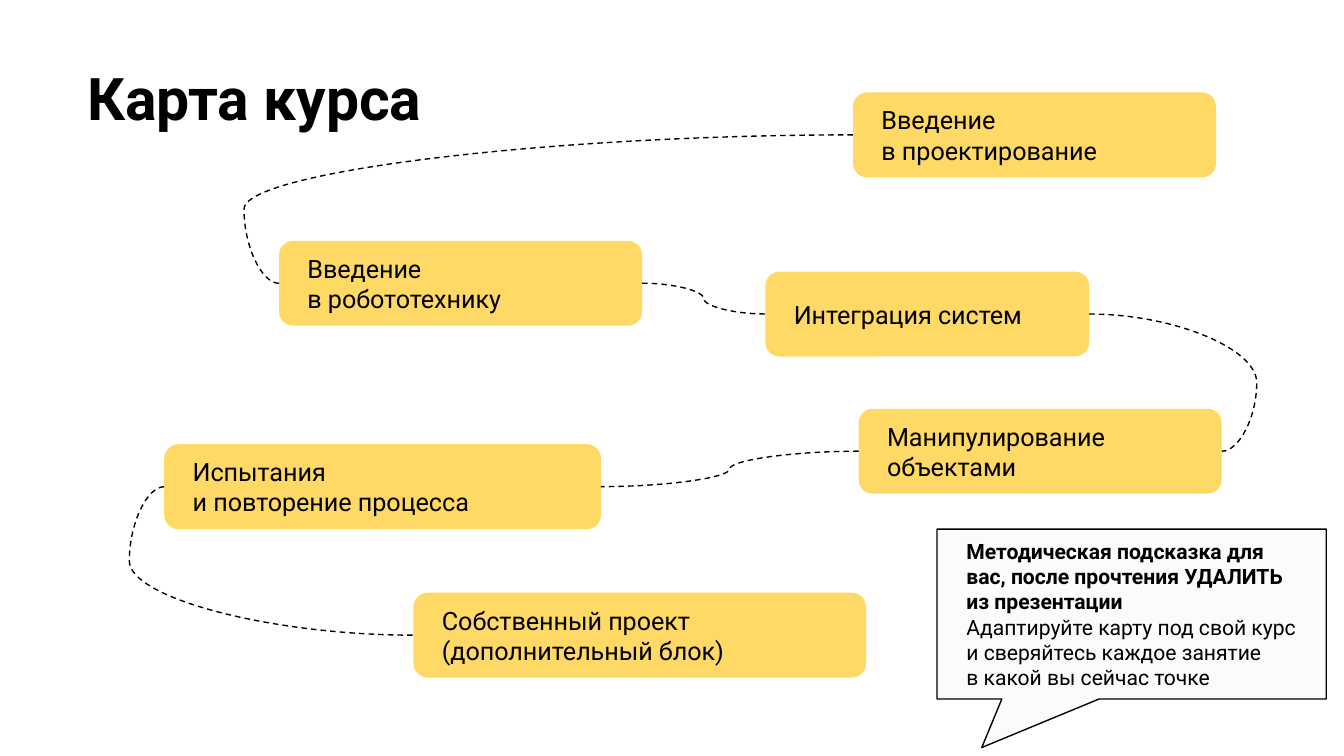
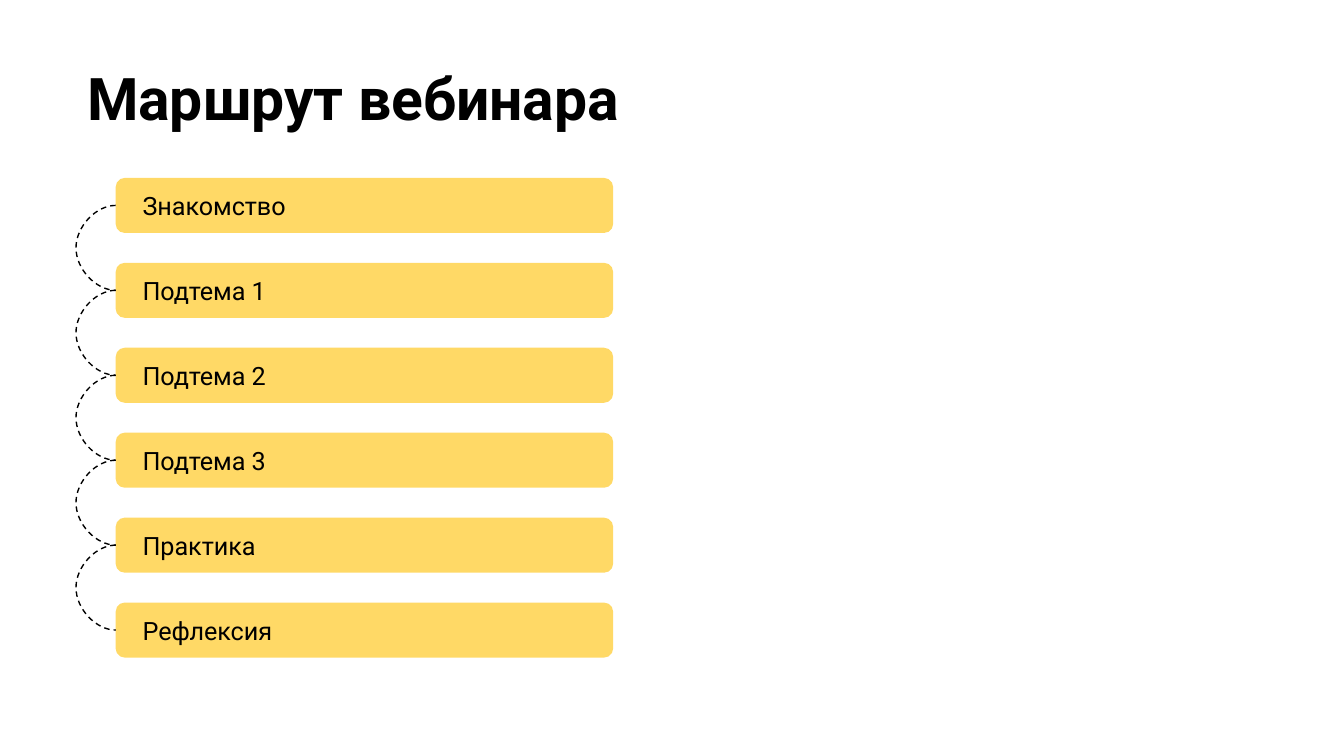
from dataclasses import dataclass

from lxml import etree
from pptx import Presentation
from pptx.dml.color import RGBColor
from pptx.enum.dml import MSO_LINE
from pptx.enum.shapes import MSO_CONNECTOR, MSO_SHAPE
from pptx.enum.text import MSO_ANCHOR, PP_ALIGN
from pptx.oxml.ns import qn
from pptx.util import Pt

ROUND = MSO_SHAPE.ROUNDED_RECTANGLE
CALLOUT = MSO_SHAPE.RECTANGULAR_CALLOUT
CURVE = MSO_CONNECTOR.CURVE
DASH = MSO_LINE.DASH
LEFT = PP_ALIGN.LEFT
TOP, MIDDLE = MSO_ANCHOR.TOP, MSO_ANCHOR.MIDDLE

FONT = "Roboto"
BLACK, YELLOW, PALE = "000000", "FFD966", "FBFBFE"
LINE = 0.75
LOOP = 18.75  # how far a loop swings out past a box
THIN = 0.05   # least width of a curve between aligned boxes


@dataclass
class Box:
    x: float
    y: float
    w: float
    h: float

    def port(self, side):
        return self.x + (self.w if side == "R" else 0), self.y + self.h / 2

    def pts(self):
        return Pt(self.x), Pt(self.y), Pt(self.w), Pt(self.h)


TITLE = Box(39.5, 26, 671, 86.5)


def color(code):
    return RGBColor.from_string(code)


def write(shape, lines, size, pad, anchor=MIDDLE, bold=0):
    """Set the lines; the first `bold` of them are bold."""
    frame = shape.text_frame
    frame.text = "\n".join(lines)
    frame.word_wrap = True
    frame.vertical_anchor = anchor
    frame.margin_left = frame.margin_right = Pt(pad[0])
    frame.margin_top = frame.margin_bottom = Pt(pad[1])
    for num, para in enumerate(frame.paragraphs):
        para.alignment = LEFT
        for run in para.runs:
            font = run.font
            font.name, font.size, font.bold = FONT, Pt(size), num < bold
            font.color.rgb = color(BLACK)


def panel(slide, kind, box, fill):
    shape = slide.shapes.add_shape(kind, *box.pts())
    shape.shadow.inherit = False
    shape.fill.solid()
    shape.fill.fore_color.rgb = color(fill)
    return shape


def card(slide, box, lines):
    shape = panel(slide, ROUND, box, YELLOW)
    shape.adjustments[0] = 0.167
    shape.line.fill.background()
    write(shape, lines, 13.5, (13, 7.2))


def link(slide, start, end, sides):
    """Dashed curve: loops outside for equal sides, else bends midway."""
    (x1, y1), (x2, y2) = start.port(sides[0]), end.port(sides[1])
    if x1 == x2:
        x2 += THIN
    bend = {"LL": min(x1, x2) - LOOP, "RR": max(x1, x2) + LOOP}.get(
        sides, (x1 + x2) / 2)
    curve = slide.shapes.add_connector(CURVE, Pt(x1), Pt(y1), Pt(x2), Pt(y2))
    curve.line.color.rgb = color(BLACK)
    curve.line.width = Pt(LINE)
    curve.line.dash_style = DASH
    props = curve._element.spPr
    ratio = (bend - x1) / (x2 - x1)
    props.prstGeom.rewrite_guides([("adj1", round(ratio * 100000))])
    etree.SubElement(props, qn("a:effectLst"))


def hint(slide, box):
    shape = panel(slide, CALLOUT, box, PALE)
    shape.adjustments[0] = -0.385
    shape.adjustments[1] = 0.786
    shape.line.color.rgb = color(BLACK)
    shape.line.width = Pt(LINE)
    write(shape, [
        "Методическая подсказка для вас, после прочтения УДАЛИТЬ из презентации",
        "Адаптируйте карту под свой курс и сверяйтесь каждое занятие",
        "в какой вы сейчас точке",
    ], 11.25, (15.75, 10), bold=1)


def start_slide(deck, text):
    slide = deck.slides.add_slide(deck.slide_layouts[5])
    title = slide.shapes.title
    title.left, title.top, title.width, title.height = TITLE.pts()
    write(title, [text], 31.5, (7.2, 7.2), TOP, bold=1)
    return slide


def course_map(deck):
    slide = start_slide(deck, "Карта курса")

    # Stages in course order: left, top, width, lines
    stages = [
        (457, 49.5, 194.5, ["Введение", "в проектирование"]),
        (149.5, 129, 194.5, ["Введение", "в робототехнику"]),
        (410, 145.5, 173.5, ["Интеграция систем"]),
        (460, 219, 194.5, ["Манипулирование объектами"]),
        (88, 238, 234, ["Испытания", "и повторение процесса"]),
        (221.5, 317.5, 242.5, ["Собственный проект (дополнительный блок)"]),
    ]
    boxes = [Box(x, y, w, 45.5) for x, y, w, _ in stages]
    for box, stage in zip(boxes, stages):
        card(slide, box, stage[3])

    # Path through the stages
    for start, end, sides in zip(boxes, boxes[1:], ["LL", "RL", "RR", "LR", "LL"]):
        link(slide, start, end, sides)

    hint(slide, Box(502, 283.5, 208.5, 91))


def route(deck, area, step):
    slide = start_slide(deck, "Маршрут вебинара")
    names = ["Знакомство", "Подтема 1", "Подтема 2", "Подтема 3",
             "Практика", "Рефлексия"]
    boxes = [Box(area.x, area.y + i * step, area.w, area.h)
             for i in range(len(names))]
    for box, name in zip(boxes, names):
        card(slide, box, [name])
    for start, end in zip(boxes, boxes[1:]):
        link(slide, start, end, "LL")


def main():
    deck = Presentation()
    deck.slide_width, deck.slide_height = Pt(720), Pt(405)
    course_map(deck)
    route(deck, Box(62, 95.3, 266.5, 29.5), 45.5)
    deck.save("out.pptx")


if __name__ == "__main__":
    main()
